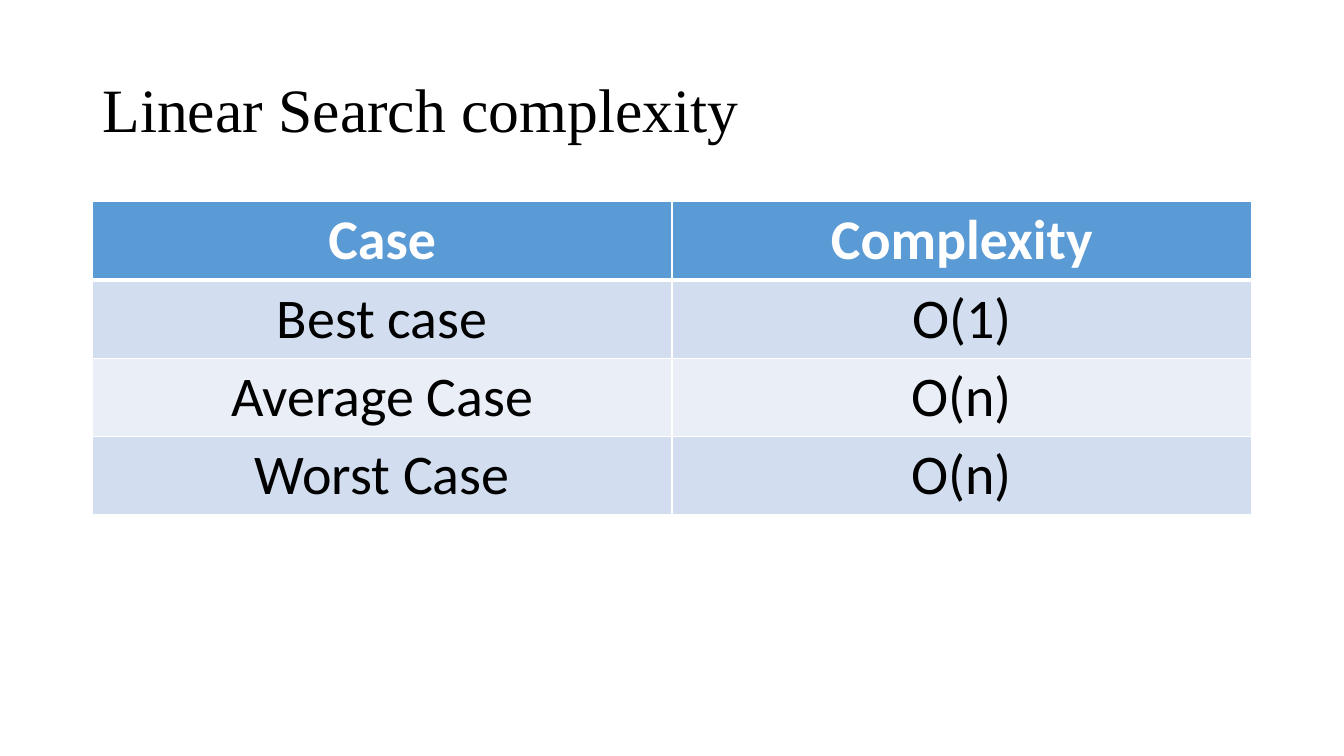
from dataclasses import dataclass

from lxml.etree import SubElement
from pptx import Presentation
from pptx.dml.color import RGBColor
from pptx.enum.text import MSO_ANCHOR, MSO_AUTO_SIZE, PP_ALIGN
from pptx.oxml.ns import qn
from pptx.slide import Slide
from pptx.table import _Cell as Cell
from pptx.util import Emu, Pt

EMU_PER_PX = 9525
WHITE = RGBColor(0xFF, 0xFF, 0xFF)
BLACK = RGBColor(0x00, 0x00, 0x00)
HEADER_BLUE = RGBColor(0x5B, 0x9B, 0xD5)
BAND_DARK = RGBColor(0xD2, 0xDE, 0xEF)
BAND_LIGHT = RGBColor(0xEA, 0xEF, 0xF7)


@dataclass(frozen=True)
class Box:
    left: int
    top: int
    width: int
    height: int

    def emu(self) -> tuple[Emu, Emu, Emu, Emu]:
        """Return the box as left, top, width and height in EMU."""
        return px(self.left), px(self.top), px(self.width), px(self.height)


@dataclass(frozen=True)
class Row:
    case: str
    complexity: str
    fill: RGBColor
    color: RGBColor = BLACK
    bold: bool = False
    top_line: int = 1
    bottom_line: int = 1


TITLE_BOX = Box(88, 38, 1104, 139)
TABLE_BOX = Box(88, 192, 1104, 160)
ROWS = [
    Row("Case", "Complexity", HEADER_BLUE, WHITE, bold=True, bottom_line=3),
    Row("Best case", "O(1)", BAND_DARK, top_line=3),
    Row("Average Case", "O(n)", BAND_LIGHT),
    Row("Worst Case", "O(n)", BAND_DARK),
]


def px(length: int) -> Emu:
    """Convert whole pixels to EMU."""
    return Emu(length * EMU_PER_PX)


def add_title(slide: Slide, text: str) -> None:
    """Place and format the title placeholder."""
    title = slide.shapes.title
    title.left, title.top, title.width, title.height = TITLE_BOX.emu()
    frame = title.text_frame
    frame.text = text
    frame.auto_size = MSO_AUTO_SIZE.NONE
    frame.vertical_anchor = MSO_ANCHOR.MIDDLE
    paragraph = frame.paragraphs[0]
    paragraph.alignment = PP_ALIGN.LEFT
    paragraph.line_spacing = 0.9
    paragraph.font.name = "Times New Roman"
    paragraph.font.size = Pt(44)
    paragraph.font.color.rgb = BLACK


def add_borders(cell: Cell, row: Row) -> None:
    """Draw white lines on all four sides of a cell."""
    widths = {"lnL": 1, "lnR": 1, "lnT": row.top_line, "lnB": row.bottom_line}
    properties = cell._tc.get_or_add_tcPr()
    for side, width in widths.items():
        line = SubElement(properties, qn(f"a:{side}"), w=str(Pt(width)))
        fill = SubElement(line, qn("a:solidFill"))
        SubElement(fill, qn("a:srgbClr"), val=str(WHITE))


def format_cell(cell: Cell, text: str, row: Row) -> None:
    """Write a cell and give it the look of its row."""
    cell.text = text
    add_borders(cell, row)
    cell.fill.solid()
    cell.fill.fore_color.rgb = row.fill
    paragraph = cell.text_frame.paragraphs[0]
    paragraph.alignment = PP_ALIGN.CENTER
    paragraph.font.name = "Calibri"
    paragraph.font.size = Pt(40)
    paragraph.font.bold = row.bold
    paragraph.font.color.rgb = row.color


def add_complexity_table(slide: Slide, rows: list[Row]) -> None:
    """Add the table of cases and their complexities."""
    table = slide.shapes.add_table(len(rows), 2, *TABLE_BOX.emu()).table
    for index, row in enumerate(rows):
        for column, text in enumerate((row.case, row.complexity)):
            format_cell(table.cell(index, column), text, row)


def main() -> None:
    """Build the slide and save it."""
    presentation = Presentation()
    presentation.slide_width, presentation.slide_height = px(1280), px(720)
    slide = presentation.slides.add_slide(presentation.slide_layouts[5])
    add_title(slide, "Linear Search complexity")
    add_complexity_table(slide, ROWS)
    presentation.save("out.pptx")


if __name__ == "__main__":
    main()
